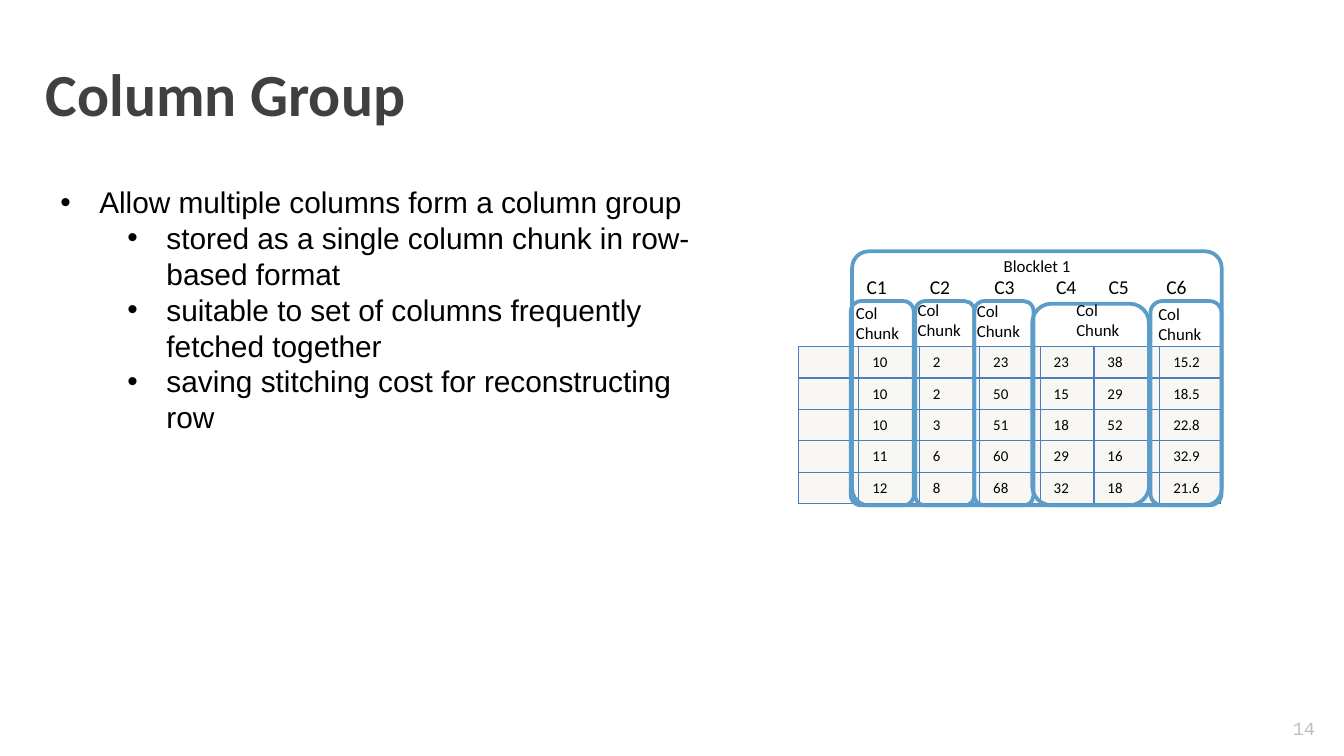
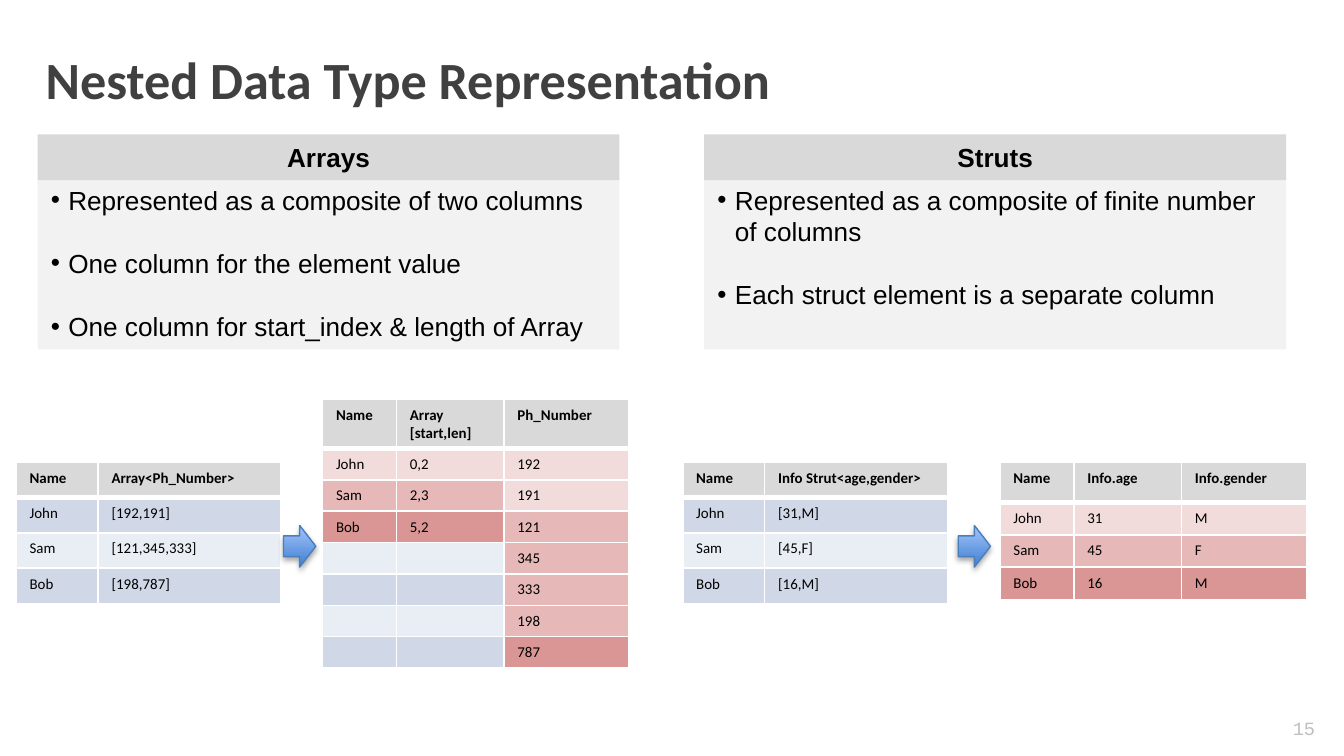
"""Build two slides on column groups and nested data types."""
from lxml import etree
from pptx import Presentation, util as u
from pptx.dml.color import RGBColor
from pptx.enum import shapes, text
from pptx.oxml.ns import qn

THEME = {
    "colour": {
        "ink": "000000", "title": "404040", "page": "BFBFBF", "group": "5B9CC8",
        "edge": "4B7EBC", "white": "FFFFFF", "panel": "F2F2F2", "header": "D9D9D9",
        "cream": "F8F7F3", "blue": "D0D8E8", "pale": "E9EDF4",
        "rose1": "F2DCDB", "rose2": "E6B9B8", "rose3": "D99694",
        "arrow_low": "3F80CE", "arrow_high": "A4C4FF",
    },
    "type": {
        "title": ("Calibri", 32, True, "title"),
        "long_title": ("Calibri", 28, True, "title"),
        "page": ("Courier New", 10, False, "page"),
        "bullet": ("Arial", 16, False, "ink"),
        "panel": ("Arial", 14, False, "ink"),
        "panel_head": ("Arial", 14, True, "ink"),
        "column": ("Calibri", 10.5, False, "ink"),
        "chunk": ("Calibri", 9, False, "ink"),
        "cell": ("Calibri", 8, False, "ink"),
        "cell_head": ("Calibri", 8, True, "ink"),
    },
}
COLOUR = {name: RGBColor.from_string(code) for name, code in THEME["colour"].items()}
LABEL = {"word_wrap": False, "auto_size": text.MSO_AUTO_SIZE.SHAPE_TO_FIT_TEXT}
BODY = {**LABEL, "word_wrap": True, "vertical_anchor": text.MSO_ANCHOR.TOP}
TITLE = {"word_wrap": True, "auto_size": text.MSO_AUTO_SIZE.NONE,
         "vertical_anchor": text.MSO_ANCHOR.TOP}
PAGE = {"word_wrap": True, "margin_left": 0, "margin_top": 0,
        "margin_right": 0, "margin_bottom": 0}


def write(frame, lines, style, layout, align=text.PP_ALIGN.LEFT, hang=0, levels=None, gap=0):
    """Fill a text frame with one paragraph per line, bulleted when hang is given."""
    for name, value in layout.items():
        setattr(frame, name, value)
    font, size, bold, colour = THEME["type"][style]
    for number, line in enumerate(lines):
        paragraph = frame.add_paragraph() if number else frame.paragraphs[0]
        paragraph.alignment = align
        if gap and number:
            paragraph.space_before = u.Pt(gap)
        if hang:
            paragraph.level = levels[number] if levels else 0
            properties = paragraph._p.get_or_add_pPr()
            properties.set("marL", str(u.Inches(hang + 0.5 * paragraph.level)))
            properties.set("indent", str(-u.Inches(hang)))
            etree.SubElement(properties, qn("a:buFont")).set("typeface", "Arial")
            etree.SubElement(properties, qn("a:buChar")).set("char", "•")
        if line:
            run = paragraph.add_run()
            run.text = line
            for name, value in {"name": font, "size": u.Pt(size), "bold": bold}.items():
                setattr(run.font, name, value)
            run.font.color.rgb = COLOUR[colour]
        else:
            paragraph._p.get_or_add_endParaRPr().set("sz", str(int(size * 100)))


def add_grid(slide, left, top, widths, heights, rows, fills, border, width, headed):
    """Add a table with explicit fills and borders; fills has a name per row or per cell."""
    table = slide.shapes.add_table(
        len(rows), len(widths), u.Inches(left), u.Inches(top),
        u.Inches(sum(widths)), u.Inches(sum(heights))).table
    table.first_row, table.horz_banding = headed, False
    for column, size in zip(table.columns, widths):
        column.width = u.Inches(size)
    for r, (row, values) in enumerate(zip(table.rows, rows)):
        row.height = u.Inches(heights[r])
        tints = fills[r].split()
        for c, (cell, value) in enumerate(zip(row.cells, values)):
            style = "cell_head" if headed and r == 0 else "cell"
            write(cell.text_frame, value.split("\n"), style, {})
            properties = cell._tc.get_or_add_tcPr()
            for side in "LRTB":
                under_head = headed and (r, side) in ((0, "B"), (1, "T"))
                edge = etree.SubElement(properties, qn(f"a:ln{side}"))
                edge.set("w", str(u.Pt(3 if under_head else width)))
                paint = etree.SubElement(edge, qn("a:solidFill"))
                etree.SubElement(paint, qn("a:srgbClr")).set("val", THEME["colour"][border])
            cell.fill.solid()
            cell.fill.fore_color.rgb = COLOUR[tints[c % len(tints)]]


deck = Presentation()
deck.slide_width = u.Inches(10)
deck.slide_height = deck.slide_width * 9 // 16
slides = []
for page, heading, style, top in (
        ("14", "Column Group", "title", 0.37),
        ("15", "Nested Data Type Representation", "long_title", 0.3)):
    slide = deck.slides.add_slide(deck.slide_layouts[5])
    slides.append(slide)
    title = slide.shapes.title
    for name, value in {"left": 0.24, "top": top, "width": 9.76, "height": 0.64}.items():
        setattr(title, name, u.Inches(value))
    write(title.text_frame, [heading], style, TITLE)
    number = slide.shapes.add_textbox(*map(u.Inches, (9.62, 5.36, 0.44, 0.17)))
    write(number.text_frame, [page], "page", PAGE)
    number.text_frame.paragraphs[0].line_spacing = 0.85
group_slide, nested_slide = slides

records = [
    ("", "10", "2", "23", "23", "38", "15.2"),
    ("", "10", "2", "50", "15", "29", "18.5"),
    ("", "10", "3", "51", "18", "52", "22.8"),
    ("", "11", "6", "60", "29", "16", "32.9"),
    ("", "12", "8", "68", "32", "18", "21.6"),
]
add_grid(group_slide, 5.94, 2.58, [0.45, 0.45, 0.45, 0.45, 0.4, 0.49, 0.45],
         [0.23] + [0.18] * 4, records, ["cream"] * 5, "edge", 0.75, False)

blocklet = (6.34, 1.87, 2.75, 1.89)
chunks = [(6.33, 2.24, 0.47, 1.52), (6.81, 2.24, 0.44, 1.52), (7.25, 2.24, 0.44, 1.52),
          (8.56, 2.24, 0.53, 1.52), (7.68, 2.26, 0.87, 1.5)]
for place in [blocklet] + chunks:
    outline = group_slide.shapes.add_shape(
        shapes.MSO_SHAPE.ROUNDED_RECTANGLE, *map(u.Inches, place))
    outline.shadow.inherit = False
    outline.fill.background()
    outline.line.color.rgb = COLOUR["group"]
    outline.line.width = u.Pt(2)
    if place is blocklet:
        outline.adjustments[0] = 0.065

labels = [("Blocklet 1", "chunk", (7.37, 1.85, 0.7, 0.25))]
labels += [(f"C{n}", "column", (left, 2, 0.36, 0.23))
           for n, left in enumerate((6.35, 6.82, 7.3, 7.76, 8.15, 8.58), 1)]
labels += [("Col\nChunk", "chunk", (left, top, 0.53, 0.4)) for left, top in (
    (6.27, 2.2), (6.73, 2.18), (7.17, 2.19), (7.91, 2.18), (8.52, 2.21))]
for wording, style, place in labels:
    label = group_slide.shapes.add_textbox(*map(u.Inches, place))
    write(label.text_frame, wording.split("\n"), style, LABEL)

benefits = group_slide.shapes.add_textbox(*map(u.Inches, (0.35, 1.32, 5.12, 1.99)))
write(benefits.text_frame, [
    "Allow multiple columns form a column group",
    "stored as a single column chunk in row-based format",
    "suitable to set of columns frequently fetched together",
    "saving stitching cost for reconstructing row",
], "bullet", BODY, hang=0.29, levels=[0, 1, 1, 1])

panels = [
    (0.28, "Arrays", ["Represented as a composite of two columns",
                      "One column for the element value",
                      "One column for start_index & length of Array"]),
    (5.24, "Struts", ["Represented as a composite of finite number of columns",
                      "Each struct element is a separate column"]),
]
for left, heading, points in panels:
    for top, height, fill, lines, style, options in (
            (1.32, 1.28, "panel", points, "panel", {"hang": 0.13, "gap": 17}),
            (1, 0.34, "header", [heading], "panel_head", {"align": text.PP_ALIGN.CENTER})):
        panel = nested_slide.shapes.add_shape(
            shapes.MSO_SHAPE.RECTANGLE, *map(u.Inches, (left, top, 4.33, height)))
        panel.shadow.inherit = False
        panel.fill.solid()
        panel.fill.fore_color.rgb = COLOUR[fill]
        panel.line.fill.background()
        write(panel.text_frame, lines, style, BODY, **options)

nested_fills = ["header", "blue", "pale", "blue"]
struct_fills = ["header", "rose1", "rose2", "rose3"]
array_fills = ["header", "rose1", "rose2 rose2 rose1", "rose3 rose3 rose2",
               "pale pale rose2", "blue blue rose2", "pale pale rose2", "blue blue rose3"]
nested_widths, flat_widths = [0.61, 1.36], [0.55, 0.8, 0.93]
nested_heights = [1.05 / 4] * 4
tables = [
    (0.12, 3.44, nested_widths, nested_heights, nested_fills,
     [("Name", "Array<Ph_Number>"), ("John", "[192,191]"),
      ("Sam", "[121,345,333]"), ("Bob", "[198,787]")]),
    (2.4, 2.97, flat_widths, [0.34] + [0.22] * 7, array_fills,
     [("Name", "Array\n[start,len]", "Ph_Number"), ("John", "0,2", "192"),
      ("Sam", "2,3", "191"), ("Bob", "5,2", "121"),
      ("", "", "345"), ("", "", "333"), ("", "", "198"), ("", "", "787")]),
    (5.08, 3.44, nested_widths, nested_heights, nested_fills,
     [("Name", "Info Strut<age,gender>"), ("John", "[31,M]"),
      ("Sam", "[45,F]"), ("Bob", "[16,M]")]),
    (7.44, 3.44, flat_widths, [0.3] + [0.24] * 3, struct_fills,
     [("Name", "Info.age", "Info.gender"), ("John", "31", "M"),
      ("Sam", "45", "F"), ("Bob", "16", "M")]),
]
for left, top, widths, heights, fills, rows in tables:
    add_grid(nested_slide, left, top, widths, heights, rows, fills, "white", 1, True)

for left in (2.11, 7.13):
    arrow = nested_slide.shapes.add_shape(
        shapes.MSO_SHAPE.RIGHT_ARROW, *map(u.Inches, (left, 3.91, 0.24, 0.31)))
    arrow.fill.gradient()
    arrow.fill.gradient_angle = 90
    for stop, colour in zip(arrow.fill.gradient_stops, ("arrow_low", "arrow_high")):
        stop.color.rgb = COLOUR[colour]
    arrow.line.color.rgb = COLOUR["edge"]
    arrow.line.width = u.Pt(0.75)
    arrow.shadow.inherit = False
    effects = arrow._element.spPr.find(qn("a:effectLst"))
    shadow = etree.SubElement(effects, qn("a:outerShdw"), blurRad=str(u.Pt(3.1)),
                              dist=str(u.Pt(1.8)), dir="5400000", rotWithShape="0")
    shade = etree.SubElement(shadow, qn("a:srgbClr"), val=THEME["colour"]["ink"])
    etree.SubElement(shade, qn("a:alpha"), val="35000")

deck.save("out.pptx")
